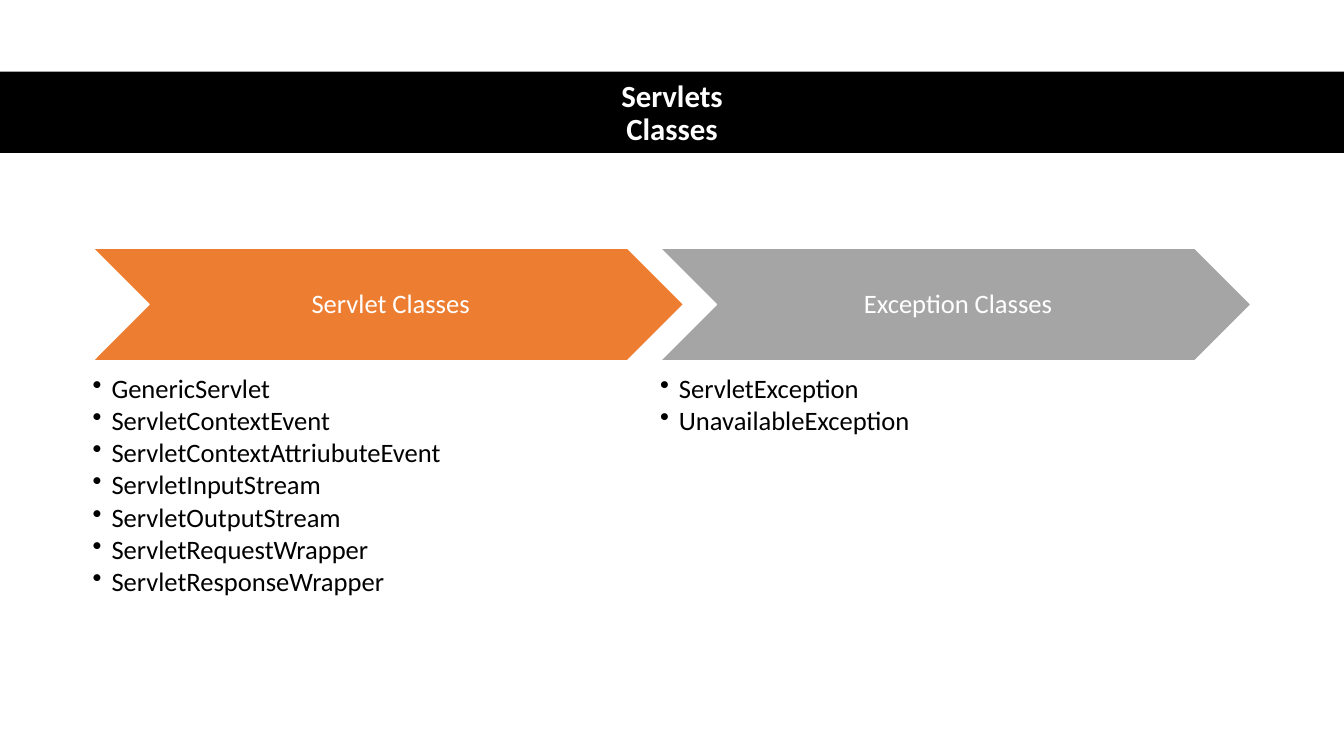
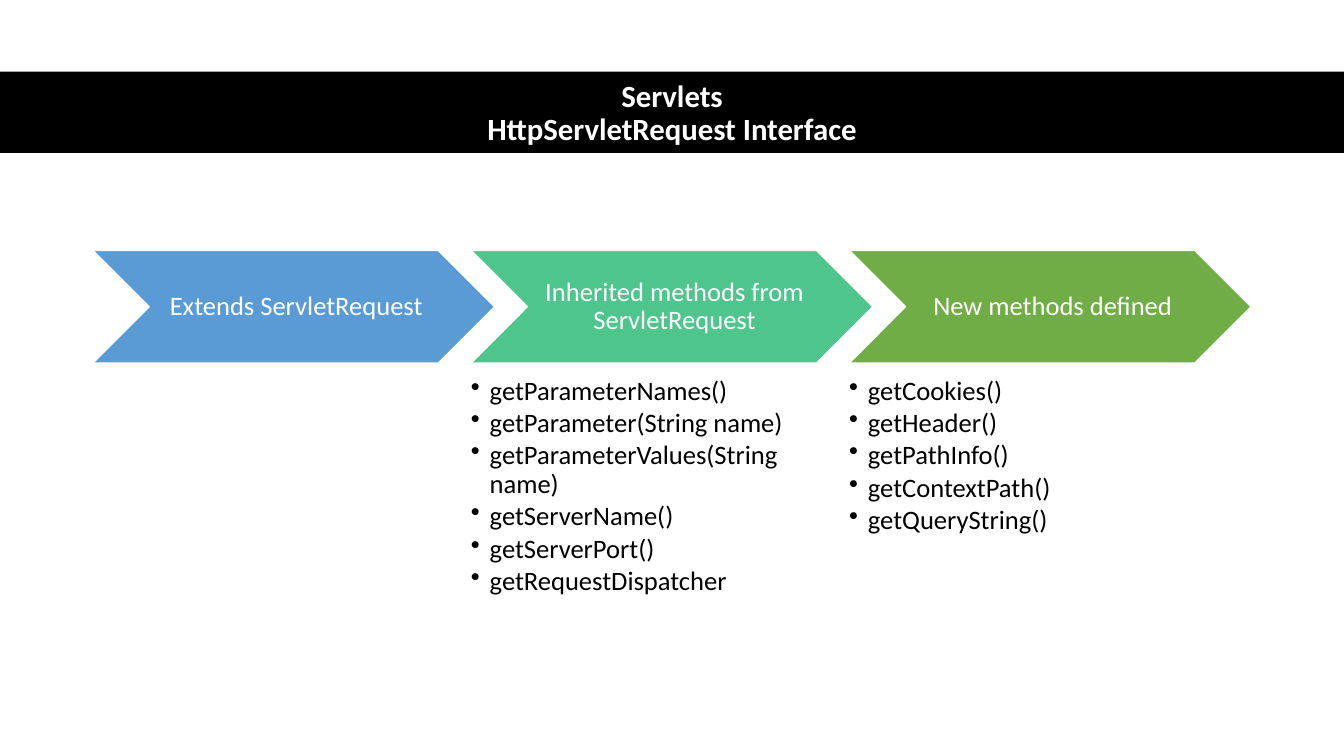
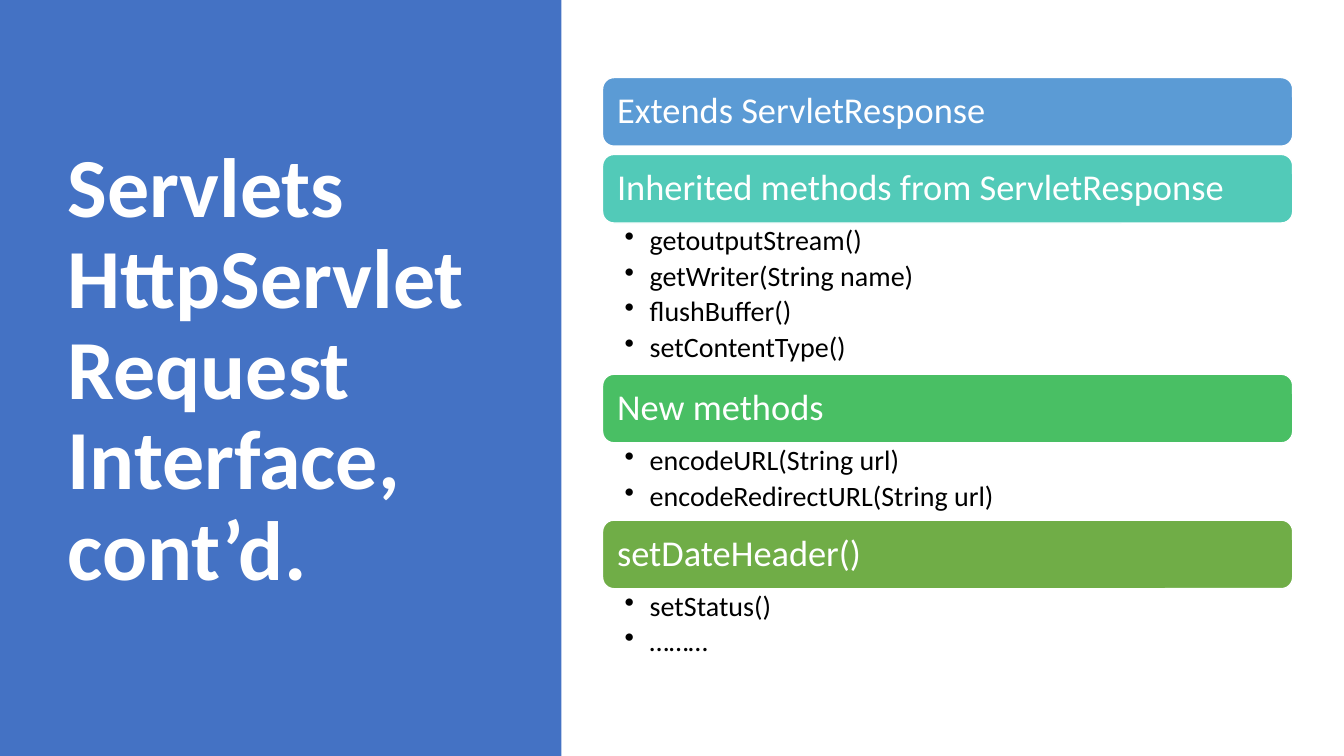
from lxml import etree
from pptx import Presentation
from pptx.dml.color import RGBColor
from pptx.enum.shapes import MSO_SHAPE
from pptx.enum.text import MSO_ANCHOR, PP_ALIGN
from pptx.oxml.ns import qn
from pptx.util import Pt

RECTANGLE = MSO_SHAPE.RECTANGLE
CHEVRON = MSO_SHAPE.CHEVRON
ROUNDED = MSO_SHAPE.ROUNDED_RECTANGLE
TOP, MIDDLE = MSO_ANCHOR.TOP, MSO_ANCHOR.MIDDLE
LEFT, CENTER = PP_ALIGN.LEFT, PP_ALIGN.CENTER

BLACK = RGBColor(0x00, 0x00, 0x00)
WHITE = RGBColor(0xFF, 0xFF, 0xFF)
ROYAL = RGBColor(0x44, 0x72, 0xC4)
ORANGE = RGBColor(0xED, 0x7D, 0x31)
GRAY = RGBColor(0xA5, 0xA5, 0xA5)
BLUE = RGBColor(0x5B, 0x9B, 0xD5)
TEAL = RGBColor(0x52, 0xCA, 0xB8)
MINT = RGBColor(0x4D, 0xC5, 0x8D)
GREEN = RGBColor(0x49, 0xBF, 0x64)
OLIVE = RGBColor(0x70, 0xAD, 0x47)

FONT = "Calibri"
PAGE_WIDTH, PAGE_HEIGHT = 960, 540


class ServletDeck:
    def __init__(self):
        self.deck = Presentation()
        self.deck.slide_width = Pt(PAGE_WIDTH)
        self.deck.slide_height = Pt(PAGE_HEIGHT)
        self.page = None

    def add_page(self):
        self.page = self.deck.slides.add_slide(self.deck.slide_layouts[6])

    def frame(self, box, insets, anchor):
        """Prepare the text frame; insets run left, top, right, bottom."""
        frame = box.text_frame
        frame.word_wrap = True
        frame.vertical_anchor = anchor
        (frame.margin_left, frame.margin_top,
         frame.margin_right, frame.margin_bottom) = map(Pt, insets)
        return frame

    def add_text(self, para, text, size, color, bold=False, align=LEFT):
        para.alignment = align
        para.line_spacing = 0.9
        for number, line in enumerate(text.split("\n")):
            if number:
                para.add_line_break()
            span = para.add_run()
            span.text = line
            span.font.name = FONT
            span.font.size = Pt(size)
            span.font.bold = bold
            span.font.color.rgb = color

    def panel(self, kind, area, fill, text, size, insets, align=LEFT,
              bold=False, outlined=True):
        """Draw a filled shape with white text in its vertical middle."""
        box = self.page.shapes.add_shape(kind, *map(Pt, area))
        box.shadow.inherit = False
        box.fill.solid()
        box.fill.fore_color.rgb = fill
        if outlined:
            box.line.color.rgb = WHITE
            box.line.width = Pt(1)
        else:
            box.line.fill.background()
        frame = self.frame(box, insets, MIDDLE)
        self.add_text(frame.paragraphs[0], text, size, WHITE, bold, align)

    def bullets(self, area, items, size, indent, gap, insets=(0, 0, 0, 0)):
        box = self.page.shapes.add_textbox(*map(Pt, area))
        frame = self.frame(box, insets, TOP)
        for number, item in enumerate(items):
            para = frame.add_paragraph() if number else frame.paragraphs[0]
            self.add_text(para, item, size, BLACK)
            para.space_after = Pt(gap)
            properties = para._p.get_or_add_pPr()
            properties.set("marL", str(Pt(indent)))
            properties.set("indent", str(-Pt(indent)))
            etree.SubElement(properties, qn("a:buChar")).set("char", "•")

    def title_band(self, text):
        self.panel(RECTANGLE, (0, 51.2, PAGE_WIDTH, 58), BLACK, text, 22,
                   (73, 5.6, 73, 3.6), CENTER, bold=True, outlined=False)

    def title_side(self, text):
        self.panel(RECTANGLE, (0, 0, 401, PAGE_HEIGHT), ROYAL, text, 60,
                   (48.2, 52.6, 67.6, 61.2), bold=True, outlined=False)

    def chevrons(self, top, columns):
        """Draw overlapping chevrons across the page, each over its list."""
        left, total, overlap, height = 66.2, 827.5, 17, 80.6
        width = (total + overlap * (len(columns) - 1)) / len(columns)
        for number, (fill, heading, items) in enumerate(columns):
            x = left + number * (width - overlap)
            self.panel(CHEVRON, (x, top, width, height), fill, heading, 19,
                       (6, 2.4, 2.4, 2.4), CENTER)
            if items:
                self.bullets((x, top + 90.8, 0.8 * width, 168), items,
                             19, 13.5, 2.5)

    def stack(self, sections):
        """Draw rounded headings down the page, each over its list."""
        left, top, width, height = 430.4, 55.4, 493, 49
        for fill, heading, items in sections:
            self.panel(ROUNDED, (left, top, width, height), fill, heading, 26,
                       (8, 8, 8, 8))
            top += height
            if items:
                list_height = 26.4 * len(items) + 2.4
                self.bullets((left, top, width, list_height), items,
                             20, 18, 3.7, (15.7, 2.6, 14.2, 2.6))
                top += list_height
            else:
                top += 5.9


def main():
    show = ServletDeck()

    show.add_page()
    show.title_band("Servlets\nClasses")
    show.chevrons(177.2, [
        (ORANGE, "Servlet Classes", [
            "GenericServlet", "ServletContextEvent",
            "ServletContextAttriubuteEvent", "ServletInputStream",
            "ServletOutputStream", "ServletRequestWrapper",
            "ServletResponseWrapper"]),
        (GRAY, "Exception Classes", [
            "ServletException", "UnavailableException"]),
    ])

    show.add_page()
    show.title_band("Servlets\nHttpServletRequest Interface")
    show.chevrons(178.8, [
        (BLUE, "Extends ServletRequest", []),
        (MINT, "Inherited methods from ServletRequest", [
            "getParameterNames()", "getParameter(String name)",
            "getParameterValues(String name)", "getServerName()",
            "getServerPort()", "getRequestDispatcher"]),
        (OLIVE, "New methods defined", [
            "getCookies()", "getHeader()", "getPathInfo()",
            "getContextPath()", "getQueryString()"]),
    ])

    show.add_page()
    show.title_side("Servlets\nHttpServletRequest Interface, cont’d.")
    show.stack([
        (BLUE, "Extends ServletResponse", []),
        (TEAL, "Inherited methods from ServletResponse", [
            "getoutputStream()", "getWriter(String name)",
            "flushBuffer()", "setContentType()"]),
        (GREEN, "New methods", [
            "encodeURL(String url)", "encodeRedirectURL(String url)"]),
        (OLIVE, "setDateHeader()", ["setStatus()", "………"]),
    ])

    show.deck.save("out.pptx")


if __name__ == "__main__":
    main()
